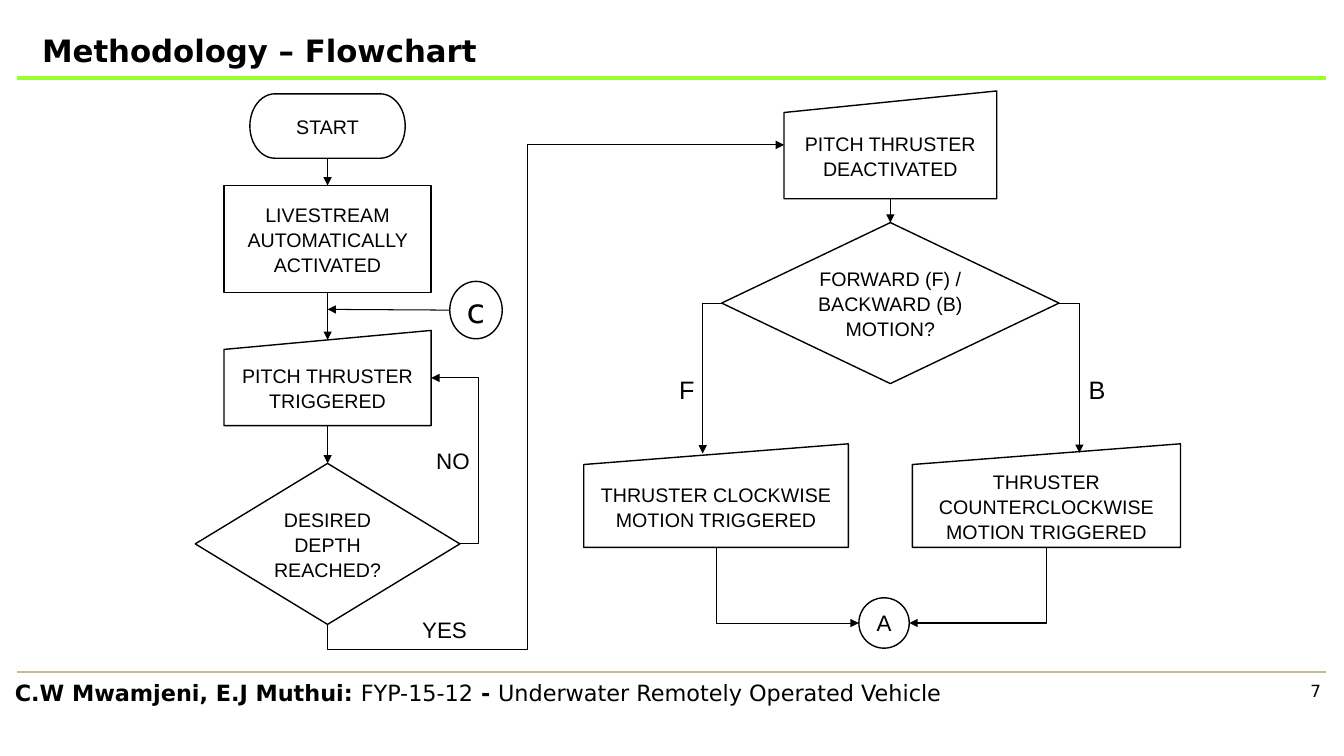
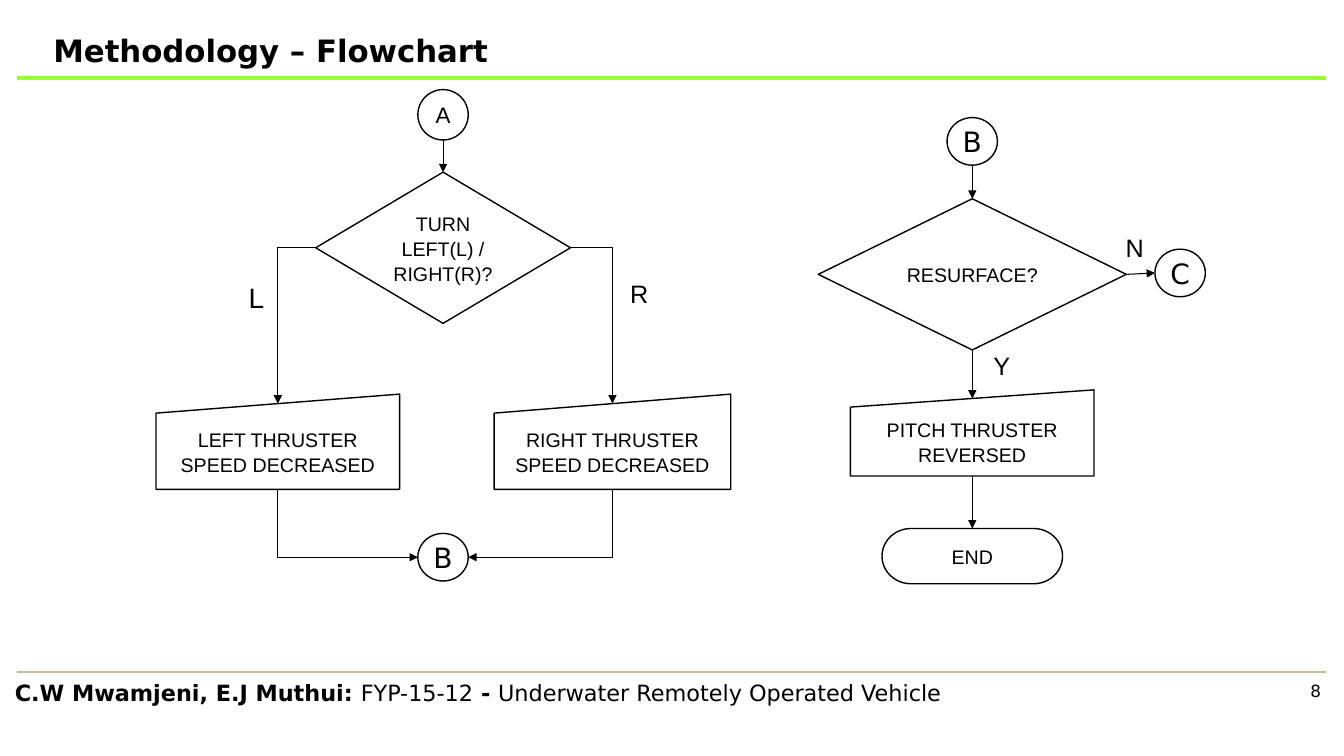
from pptx import Presentation
from pptx.dml.color import RGBColor
from pptx.enum.shapes import MSO_CONNECTOR, MSO_SHAPE
from pptx.enum.text import MSO_ANCHOR, PP_ALIGN
from pptx.oxml.ns import qn
from pptx.util import Pt
from lxml.etree import SubElement

BLACK = RGBColor(0x00, 0x00, 0x00)
WHITE = RGBColor(0xFF, 0xFF, 0xFF)
GREEN = RGBColor(0x99, 0xFF, 0x33)
TAN = RGBColor(0xC8, 0xB8, 0x98)
SANS, ARIAL = "DejaVu Sans", "Arial"

STEP = MSO_SHAPE.FLOWCHART_PROCESS
INPUT = MSO_SHAPE.FLOWCHART_MANUAL_INPUT
CHOICE = MSO_SHAPE.FLOWCHART_DECISION
PILL = MSO_SHAPE.FLOWCHART_TERMINATOR
CIRCLE = MSO_SHAPE.FLOWCHART_CONNECTOR

TOP, LEFT, BOTTOM, RIGHT = range(4)

TITLE = "Methodology – Flowchart"
FOOTER = [("C.W Mwamjeni, E.J Muthui: ", True), ("FYP-15-12", False),
          (" - ", True), ("Underwater Remotely Operated Vehicle", False)]

# nodes: kind, centre x, top, width, height, text, (font, size) when special
# lines: straight arrows; an end is (node, side) or a point (x, y)
# elbows: start, end, first direction, then the x or y of each inner bend
# labels: text, left, top, size
SLIDES = [
    dict(
        number=7, title_x=23,
        nodes=dict(
            start=(PILL, 234, 67, 111, 46, "START"),
            live=(STEP, 234, 132.5, 148, 76.5, "LIVESTREAM AUTOMATICALLY ACTIVATED"),
            pitch=(INPUT, 234, 236, 148, 68, "PITCH THRUSTER TRIGGERED"),
            depth=(CHOICE, 234, 331, 189, 115, "DESIRED DEPTH REACHED?"),
            off=(INPUT, 636, 65, 152, 77, "PITCH THRUSTER DEACTIVATED"),
            motion=(CHOICE, 636, 159, 241, 115, "FORWARD (F) / BACKWARD (B) MOTION?"),
            clock=(INPUT, 511.5, 317, 189, 74, "THRUSTER CLOCKWISE MOTION TRIGGERED"),
            counter=(INPUT, 747.5, 317, 191.5, 74,
                     "THRUSTER COUNTERCLOCKWISE MOTION TRIGGERED"),
            a=(CIRCLE, 631.5, 427, 36, 36, "A", (ARIAL, 16)),
            c=(CIRCLE, 340, 201, 37.5, 41, "c", (SANS, 24)),
        ),
        lines=[
            (("start", BOTTOM), ("live", TOP)),
            (("live", BOTTOM), ("pitch", TOP)),
            (("pitch", BOTTOM), ("depth", TOP)),
            (("off", BOTTOM), ("motion", TOP)),
            (("c", LEFT), (234, 221)),
        ],
        elbows=[
            (("depth", RIGHT), ("pitch", RIGHT), "across", 342),
            (("depth", BOTTOM), ("off", LEFT), "down", 464, 376.5),
            (("motion", LEFT), (502, 324), "across"),
            (("motion", RIGHT), (771, 323.5), "across"),
            (("clock", BOTTOM), ("a", LEFT), "down"),
            (("counter", BOTTOM), ("a", RIGHT), "down"),
        ],
        labels=[("YES", 294.5, 436.5, 16), ("NO", 304.5, 316, 16),
                ("B", 770.5, 263.5, 18), ("F", 478, 263.5, 18)],
    ),
    dict(
        number=8, title_x=31,
        nodes=dict(
            a=(CIRCLE, 316.5, 64, 36, 36, "A", (ARIAL, 16)),
            turn=(CHOICE, 316.5, 123, 182, 108, "TURN LEFT(L) / RIGHT(R)?"),
            left=(INPUT, 198.5, 281.5, 174, 68, "LEFT THRUSTER SPEED DECREASED"),
            right=(INPUT, 437.5, 281.5, 169, 68, "RIGHT THRUSTER SPEED DECREASED"),
            join=(CIRCLE, 316.5, 381, 36, 34, "B", (SANS, 20)),
            b=(CIRCLE, 694.5, 84, 36, 34, "B", (SANS, 20)),
            rise=(CHOICE, 694.5, 142, 220, 108, "RESURFACE?"),
            back=(INPUT, 694.5, 278.5, 174, 61.5, "PITCH THRUSTER REVERSED"),
            end=(PILL, 694.5, 377.5, 129, 39.5, "END"),
            c=(CIRCLE, 843, 178, 36, 34, "C", (SANS, 20)),
        ),
        lines=[
            (("a", BOTTOM), ("turn", TOP)),
            (("b", BOTTOM), ("rise", TOP)),
            (("rise", BOTTOM), ("back", TOP)),
            (("back", BOTTOM), ("end", TOP)),
            (("rise", RIGHT), ("c", LEFT)),
        ],
        elbows=[
            (("turn", LEFT), ("left", TOP), "across"),
            (("turn", RIGHT), ("right", TOP), "across"),
            (("left", BOTTOM), ("join", LEFT), "down"),
            (("right", BOTTOM), ("join", RIGHT), "down"),
        ],
        labels=[("L", 170.5, 196.5, 20), ("R", 443, 195, 18),
                ("Y", 702.5, 247, 18), ("N", 797, 162.5, 18)],
    ),
]


def write(frame, text, font=ARIAL, size=14, bold=False, align=PP_ALIGN.LEFT,
          anchor=MSO_ANCHOR.TOP, spacing=None, inset=None):
    """Fill a frame with one paragraph; text is a string or (text, bold) runs."""
    frame.word_wrap = True
    frame.vertical_anchor = anchor
    if inset is not None:
        frame.margin_left = frame.margin_right = Pt(inset)
        frame.margin_top = frame.margin_bottom = Pt(inset)
    para = frame.paragraphs[0]
    para.alignment = align
    if spacing:
        para.line_spacing = spacing
    for part, heavy in [(text, bold)] if isinstance(text, str) else text:
        run = para.add_run()
        run.text = part
        run.font.name, run.font.size = font, Pt(size)
        run.font.bold, run.font.color.rgb = heavy, BLACK


def box(slide, x, y, w, h, text, **style):
    area = slide.shapes.add_textbox(Pt(x), Pt(y), Pt(w), Pt(h))
    write(area.text_frame, text, **style)


def rule(slide, start, end, kind=MSO_CONNECTOR.STRAIGHT, color=BLACK,
         width=0.75, arrow=True):
    line = slide.shapes.add_connector(kind, *(Pt(v) for v in (*start, *end)))
    line.line.width = Pt(width)
    line.line.color.rgb = color
    props = line.element.spPr
    if arrow:
        SubElement(props.find(qn("a:ln")), qn("a:tailEnd"), type="triangle")
    SubElement(props, qn("a:effectLst"))
    return line


def spot(nodes, end):
    """Give the point of an end, which is (node, side) or a point already."""
    if end[0] not in nodes:
        return end
    kind, x, y, w, h = nodes[end[0]][:5]
    slant = h / 10 if kind == INPUT else 0
    return [(x, y + slant), (x - w / 2, y + h / 2),
            (x, y + h), (x + w / 2, y + h / 2)][end[1]]


def bend(slide, start, end, way, *stops):
    """Draw an elbow arrow that leaves across or down and turns at each stop."""
    (x1, y1), (x2, y2) = start, end
    dx, dy = x2 - x1, y2 - y1
    line = rule(slide, start, end, MSO_CONNECTOR.ELBOW)
    props = line.element.spPr
    axes = [(x1, dx), (y1, dy)]
    if way == "down":
        axes.reverse()
        line.left, line.top = Pt((x1 + x2 - abs(dy)) / 2), Pt((y1 + y2 - abs(dx)) / 2)
        line.width, line.height = Pt(abs(dy)), Pt(abs(dx))
        frame = props.find(qn("a:xfrm"))
        frame.set("rot", str(90 * 60000))
        frame.set("flipH", str(int(dy < 0)))
        frame.set("flipV", str(int(dx > 0)))
    shape = props.find(qn("a:prstGeom"))
    shape.set("prst", f"bentConnector{len(stops) + 2}")
    guides = shape.find(qn("a:avLst"))
    if guides is None:
        guides = SubElement(shape, qn("a:avLst"))
    for i, stop in enumerate(stops):
        origin, span = axes[i % 2]
        SubElement(guides, qn("a:gd"), name=f"adj{i + 1}",
                   fmla=f"val {round((stop - origin) / span * 100000)}")


def node(slide, kind, x, y, w, h, text, face=(ARIAL, 14)):
    shape = slide.shapes.add_shape(kind, Pt(x - w / 2), Pt(y), Pt(w), Pt(h))
    shape.shadow.inherit = False
    shape.fill.solid()
    shape.fill.fore_color.rgb = WHITE
    shape.line.color.rgb = BLACK
    shape.line.width = Pt(1)
    ring = kind == CIRCLE
    write(shape.text_frame, text, font=face[0], size=face[1],
          align=PP_ALIGN.CENTER, anchor=MSO_ANCHOR.MIDDLE,
          spacing=None if ring else 1.07, inset=0 if ring else None)
    return shape


def link(slide, nodes, shapes, start, end):
    """Draw a straight arrow and join it to the shapes that have four sides."""
    first, last = spot(nodes, start), spot(nodes, end)
    line = rule(slide, first, last)
    for (name, side), join in ((start, line.begin_connect), (end, line.end_connect)):
        if name in nodes and nodes[name][0] != CIRCLE:
            join(shapes[name], side)
    line.end_y = Pt(last[1])


def frame(slide, number, title_x):
    """Add the title, the two bands, the footer and the page number."""
    for y, color, width in ((55.5, GREEN, 3), (480, TAN, 2)):
        rule(slide, (12, y), (947.5, y), color=color, width=width, arrow=False)
    box(slide, title_x, 24, 644, 34, TITLE, font=SANS, size=22, bold=True, spacing=0.8)
    box(slide, 3.5, 481.5, 907, 27, FOOTER, font=SANS, size=16)
    box(slide, 895, 486, 48.5, 16.5, str(number), font=SANS, size=12,
        align=PP_ALIGN.RIGHT, inset=0)


def main():
    deck = Presentation()
    deck.slide_width, deck.slide_height = Pt(960), Pt(540)
    for page in SLIDES:
        slide = deck.slides.add_slide(deck.slide_layouts[6])
        frame(slide, page["number"], page["title_x"])
        nodes = page["nodes"]
        shapes = {name: node(slide, *parts) for name, parts in nodes.items()}
        for start, end in page["lines"]:
            link(slide, nodes, shapes, start, end)
        for start, end, *route in page["elbows"]:
            bend(slide, spot(nodes, start), spot(nodes, end), *route)
        for text, x, y, size in page["labels"]:
            box(slide, x, y, 60, 29, text, size=size)
    deck.save("out.pptx")


if __name__ == "__main__":
    main()
